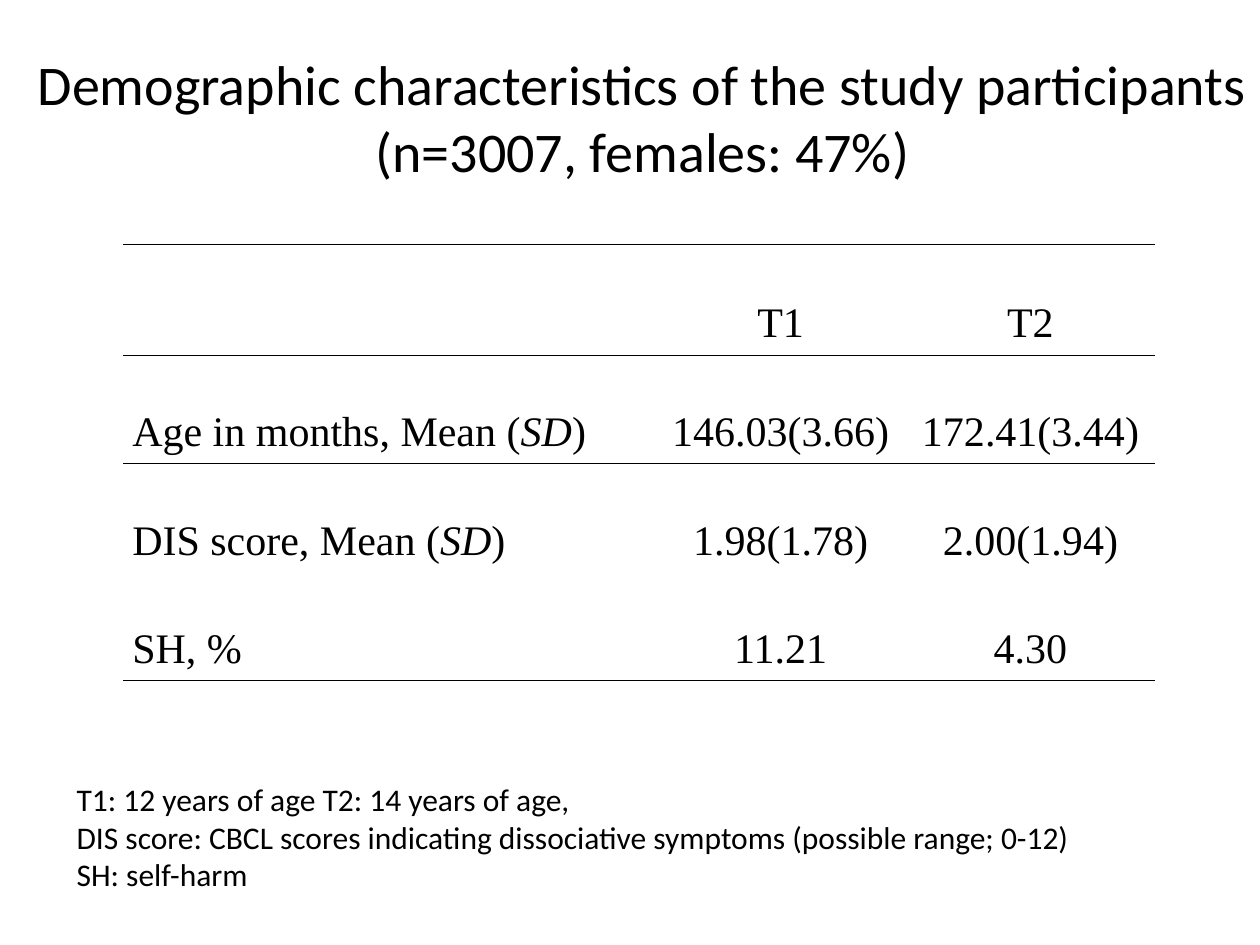
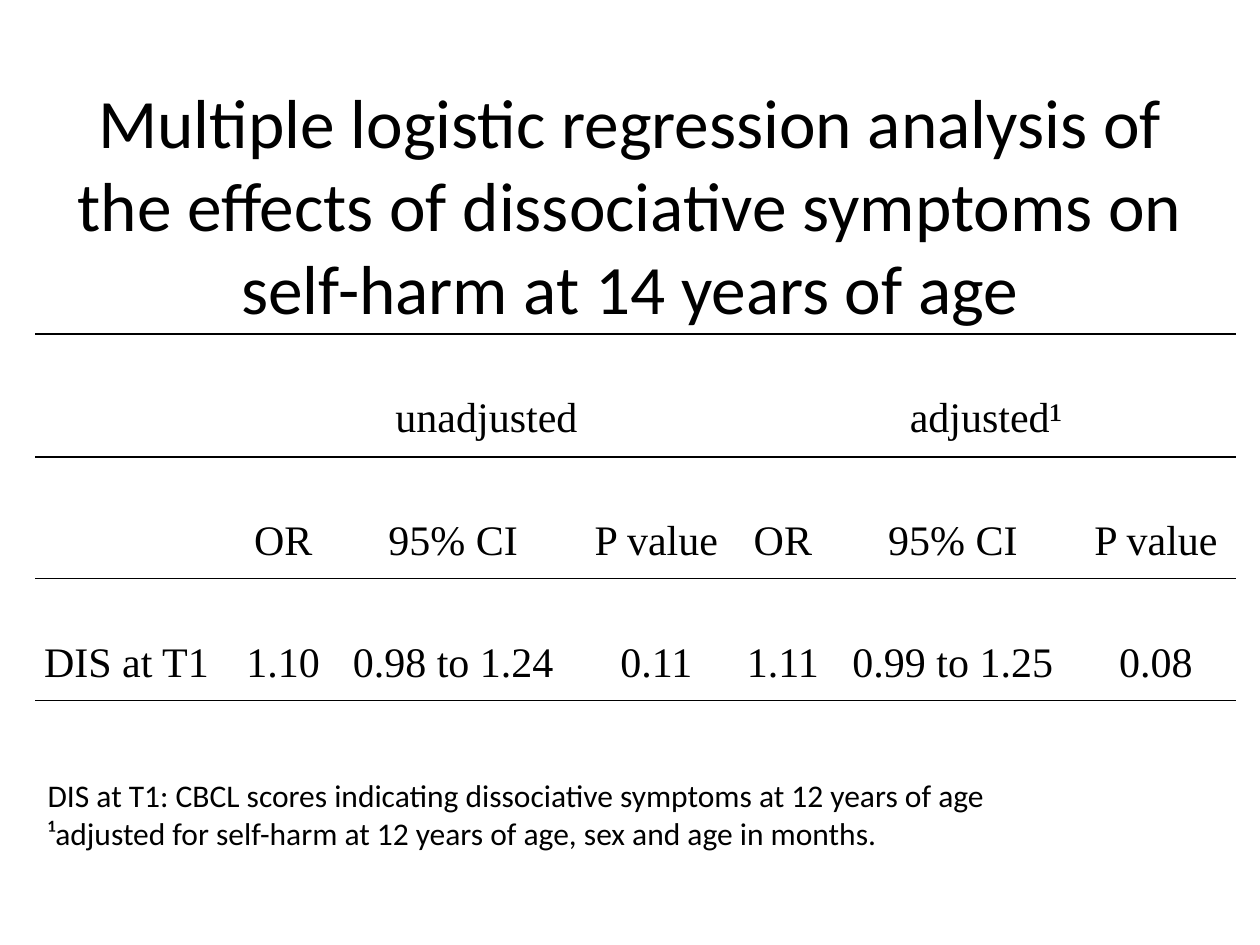
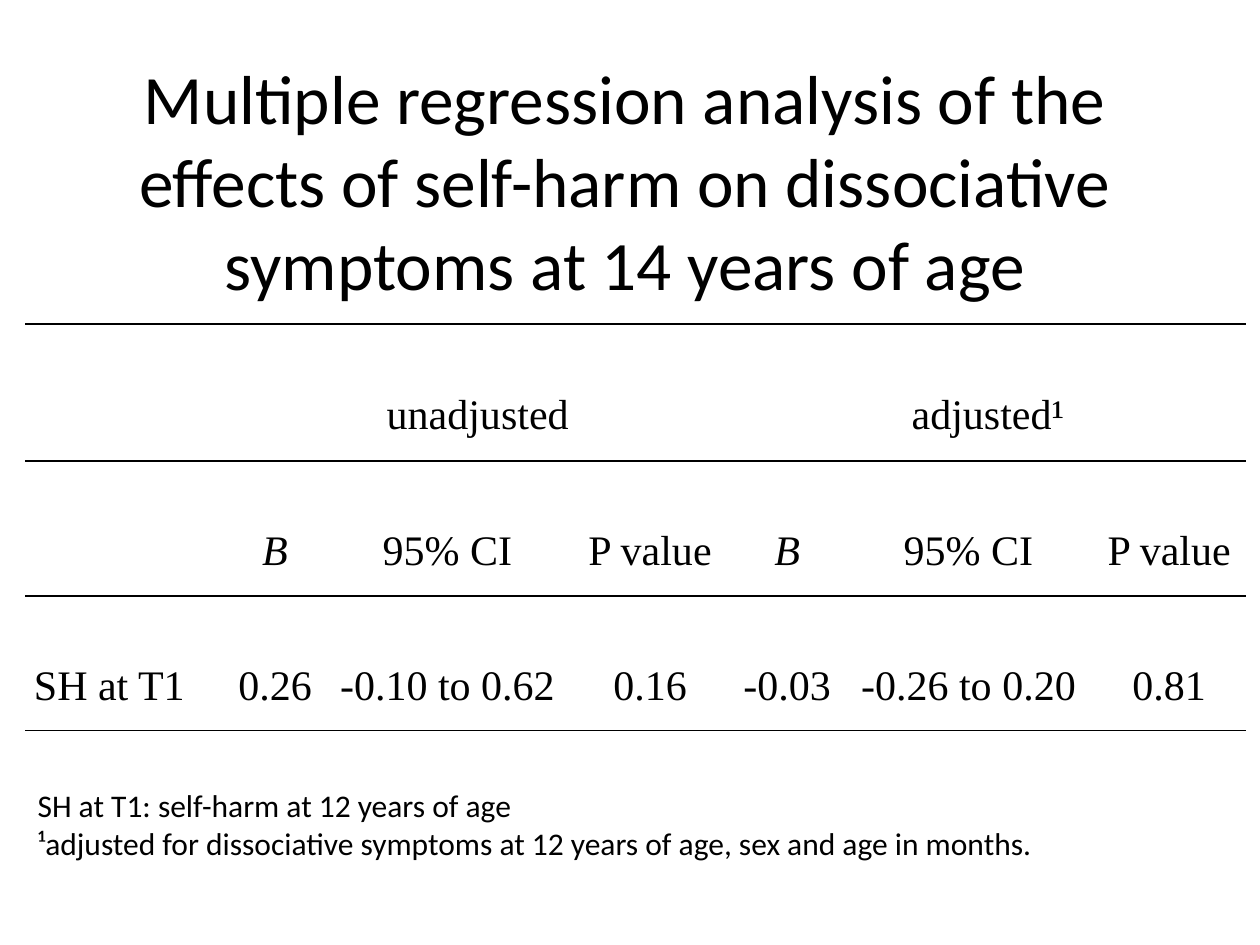
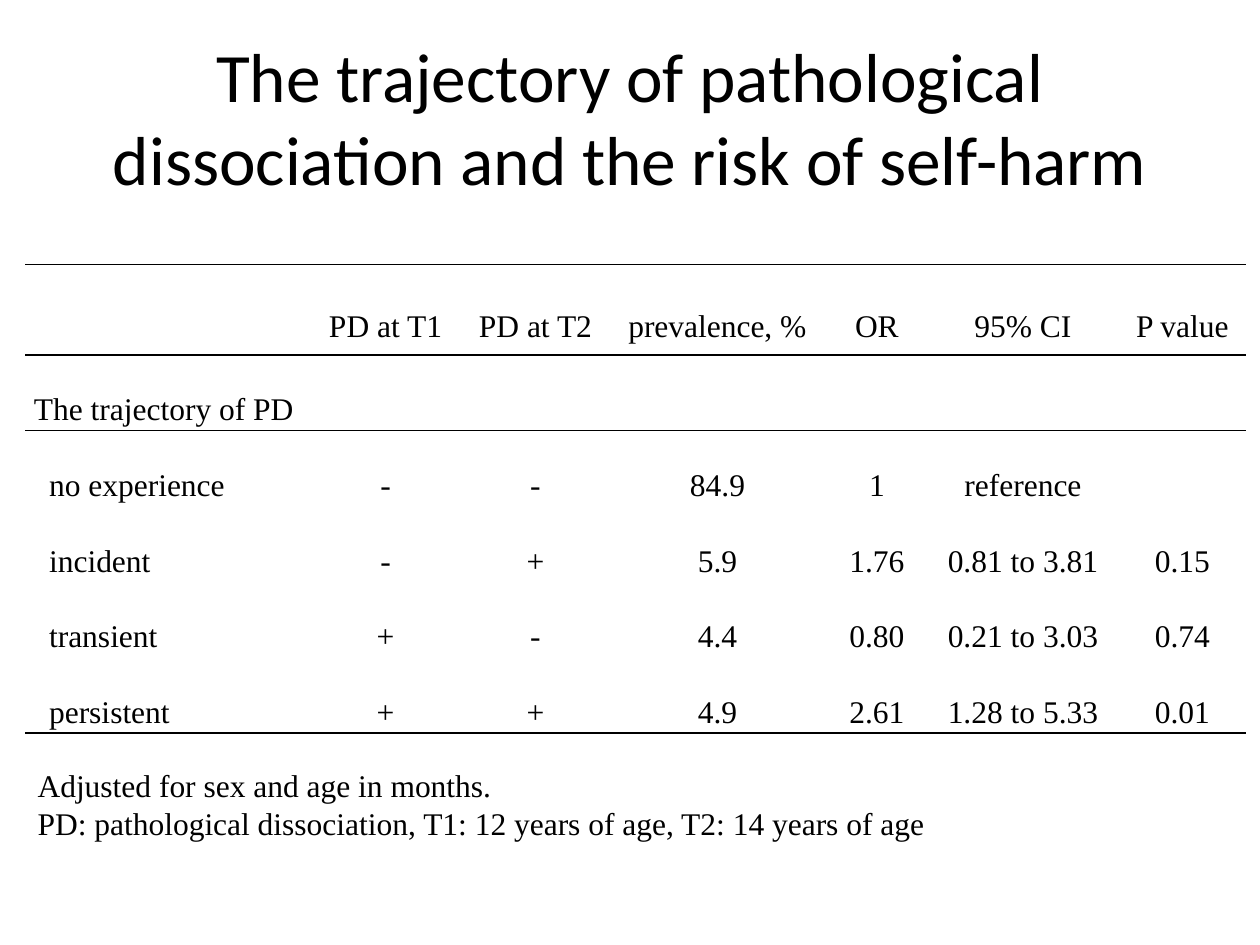
from dataclasses import dataclass
from lxml.etree import SubElement
from pptx import Presentation
from pptx.dml.color import RGBColor
from pptx.enum.text import MSO_ANCHOR as Anchor, MSO_AUTO_SIZE as Fit, PP_ALIGN as Align
from pptx.oxml.ns import qn
from pptx.util import Inches, Pt


@dataclass(frozen=True)
class Theme:
    """Colours, fonts and type sizes shared by all slides."""
    ink: str = "000000"
    sans: str = "Calibri"
    serif: str = "Times New Roman"
    title: float = 39.6
    small_title: float = 32
    body: float = 24
    note: float = 18
    rule: float = 1


T = Theme()
WIDTH, HEIGHT = Inches(10), Inches(7.5)
COLS, ROWS = 100, 75
NO_GRID = "{2D5ABB26-0587-4C30-8999-92F81FD0307C}"


def grid(box):
    """Turn a box in grid columns and rows into slide lengths."""
    x, y, w, h = box
    return [round(v * unit) for v, unit in
            ((x, WIDTH / COLS), (y, HEIGHT / ROWS), (w, WIDTH / COLS), (h, HEIGHT / ROWS))]


def put(target, formats):
    """Set attributes from a dict of format values."""
    for name, value in formats.items():
        setattr(target, name, value)


def write(p, text, font, size, **formats):
    """Write a paragraph, with the parts between asterisks in italics."""
    put(p, formats)
    for i, part in enumerate(text.split("*")):
        if part:
            r = p.add_run()
            r.text = part
            put(r.font, {"name": font, "size": Pt(size), "italic": i % 2 == 1})
            r.font.color.rgb = RGBColor.from_string(T.ink)


def add_text(s, box, lines, font, size, frame, **formats):
    """Place a wrapped text box with one paragraph per line."""
    tf = s.shapes.add_textbox(*grid(box)).text_frame
    put(tf, {"word_wrap": True, **frame})
    for i, line in enumerate(lines):
        write(tf.add_paragraph() if i else tf.paragraphs[0], line, font, size, **formats)


def add_title(s, box, text, size):
    """Place the centred slide title."""
    add_text(s, box, [text], T.sans, size,
             {"vertical_anchor": Anchor.MIDDLE, "auto_size": Fit.NONE}, alignment=Align.CENTER)


def add_notes(s, box, lines, font):
    """Place the notes below the table."""
    add_text(s, box, lines, font, T.note, {"auto_size": Fit.SHAPE_TO_FIT_TEXT})


def rule_cell(cell, sides):
    """Draw rules on the named sides of a cell."""
    tc_pr = cell._tc.get_or_add_tcPr()
    for side in sides:
        ln = SubElement(tc_pr, qn(f"a:ln{side}"), w=str(Pt(T.rule)))
        fill = SubElement(ln, qn("a:solidFill"))
        SubElement(fill, qn("a:srgbClr"), val=T.ink)


def share(parts, weights, total, attr):
    """Split a length over table columns or rows by weight."""
    for part, weight in zip(parts, weights):
        setattr(part, attr, round(total * weight / sum(weights)))


def add_ruled_table(s, box, widths, heights, data, size, indent_from=None):
    """Place a table ruled above and below its header and at its foot."""
    x, y, w, h = grid(box)
    table = s.shapes.add_table(len(heights), len(widths), x, y, w, h).table
    put(table, {"first_row": False, "horz_banding": False})
    table._tbl.tblPr.find(qn("a:tableStyleId")).text = NO_GRID
    share(table.columns, widths, w, "width")
    share(table.rows, heights, h, "height")
    last = len(data) - 1
    for i, row in enumerate(data):
        for j, text in enumerate(row):
            cell = table.cell(i, j)
            indent = 0.12 if indent_from and i >= indent_from and j == 0 else 0
            put(cell, {"margin_left": Inches(0.07 + indent), "margin_right": Inches(0.07),
                       "margin_top": 0, "margin_bottom": 0, "vertical_anchor": Anchor.MIDDLE})
            rule_cell(cell, {0: "TB", 1: "T", last: "B"}.get(i, ""))
            cell.fill.background()
            if text:
                write(cell.text_frame.paragraphs[0], text, T.serif, size,
                      alignment=Align.CENTER if j else Align.LEFT,
                      line_spacing=2.0, space_after=Pt(8))
    return table


def add_regression_table(s, box, widths, heights, coefficient, label, values):
    """Place a table of unadjusted and adjusted estimates."""
    data = [["", "unadjusted", "", "", "adjusted¹", "", ""],
            [""] + [coefficient, "95% CI", "P value"] * 2,
            [label] + values]
    table = add_ruled_table(s, box, widths, heights, data, T.body)
    for j in (1, 4):
        table.cell(0, j).merge(table.cell(0, j + 2))


def demographics(s):
    """Build the slide on the participants."""
    add_title(s, (2, 3, 98, 12.5),
              "Demographic characteristics of the study participants (n=3007, females: 47%)",
              T.small_title)
    add_notes(s, (5.1, 61.4, 89.8, 10.1), [
        "T1: 12 years of age T2: 14 years of age,",
        "DIS score: CBCL scores indicating dissociative symptoms (possible range; 0-12)",
        "SH: self-harm"], T.sans)
    add_ruled_table(s, (9.8, 19.4, 81.9, 34.6), [4.22, 1.98, 1.98], [0.88] + [0.86] * 3, [
        ["", "T1", "T2"],
        ["Age in months, Mean (*SD*)", "146.03(3.66)", "172.41(3.44)"],
        ["DIS score, Mean (*SD*)", "1.98(1.78)", "2.00(1.94)"],
        ["SH, %", "11.21", "4.30"]], T.body)


def self_harm_regression(s):
    """Build the slide on the effects on self-harm."""
    add_title(s, (5, 9.9, 90, 12.5),
              "Multiple logistic regression analysis of the effects of dissociative symptoms "
              "on self-harm at 14 years of age", T.title)
    add_regression_table(s, (2.8, 26.5, 95.3, 29.1), [1.6] + [0.74, 1.96, 1.27] * 2,
                         [0.98, 0.97, 0.97], "OR", "DIS at T1",
                         ["1.10", "0.98 to 1.24", "0.11", "1.11", "0.99 to 1.25", "0.08"])
    add_notes(s, (2.8, 61.1, 95.3, 7.1), [
        "DIS at T1: CBCL scores indicating dissociative symptoms at 12 years of age",
        "¹adjusted for self-harm at 12 years of age, sex and age in months."], T.sans)


def dissociation_regression(s):
    """Build the slide on the effects on dissociative symptoms."""
    add_title(s, (4.6, 8, 90, 12.5),
              "Multiple regression analysis of the effects of self-harm on dissociative "
              "symptoms at 14 years of age", T.title)
    add_regression_table(s, (2, 25.7, 96.9, 32.3), [1.59, 0.79, 1.95, 1.27, 0.91, 1.97, 1.22],
                         [1.09, 1.07, 1.07], "*B*", "SH at T1",
                         ["0.26", "-0.10 to 0.62", "0.16", "-0.03", "-0.26 to 0.20", "0.81"])
    add_notes(s, (2, 61.9, 96.9, 7.1), [
        "SH at T1: self-harm at 12 years of age",
        "¹adjusted for dissociative symptoms at 12 years of age, sex and age in months."], T.sans)


def trajectory(s):
    """Build the slide on the trajectory of dissociation."""
    add_title(s, (5, 3, 90, 12.5),
              "The trajectory of pathological dissociation and the risk of self-harm", T.title)
    add_ruled_table(s, (2, 21, 96.9, 36), [2.25, 1.22, 1.16, 1.73, 0.8, 1.52, 1.01],
                    [0.72] + [0.58] * 5, [
        ["", "PD at T1", "PD at T2", "prevalence, %", "OR", "95% CI", "P value"],
        ["The trajectory of PD", "", "", "", "", "", ""],
        ["no experience", "-", "-", "84.9", "1", "reference", ""],
        ["incident", "-", "+", "5.9", "1.76", "0.81 to 3.81", "0.15"],
        ["transient", "+", "-", "4.4", "0.80", "0.21 to 3.03", "0.74"],
        ["persistent", "+", "+", "4.9", "2.61", "1.28 to 5.33", "0.01"]],
        T.note, indent_from=2)
    add_notes(s, (2, 60.3, 93, 7.1), [
        "Adjusted for sex and age in months.",
        "PD: pathological dissociation, T1: 12 years of age, T2: 14 years of age"], T.serif)


def main():
    """Build and save the presentation."""
    prs = Presentation()
    put(prs, {"slide_width": WIDTH, "slide_height": HEIGHT})
    for build in (demographics, self_harm_regression, dissociation_regression, trajectory):
        build(prs.slides.add_slide(prs.slide_layouts[6]))
    prs.save("out.pptx")


if __name__ == "__main__":
    main()
